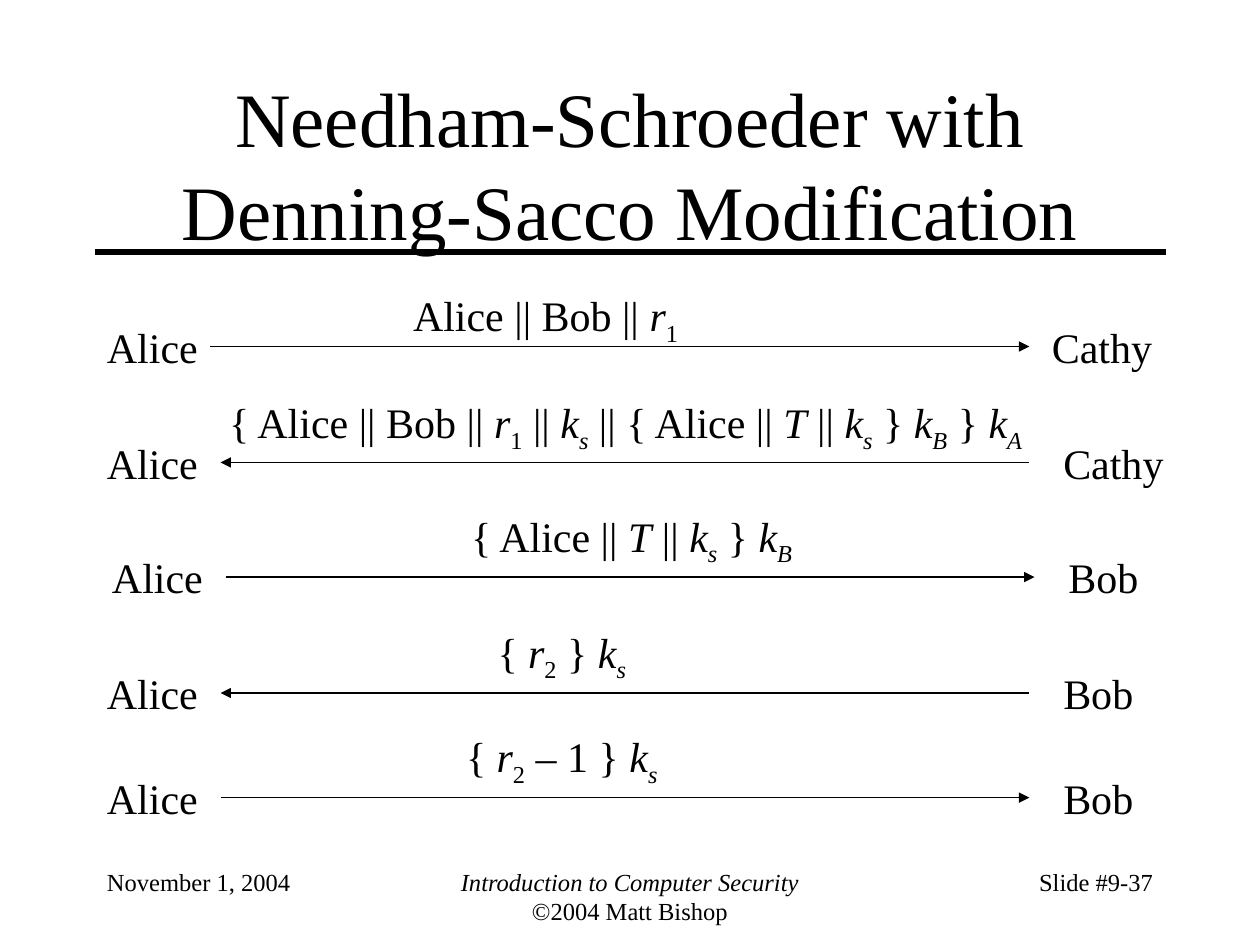
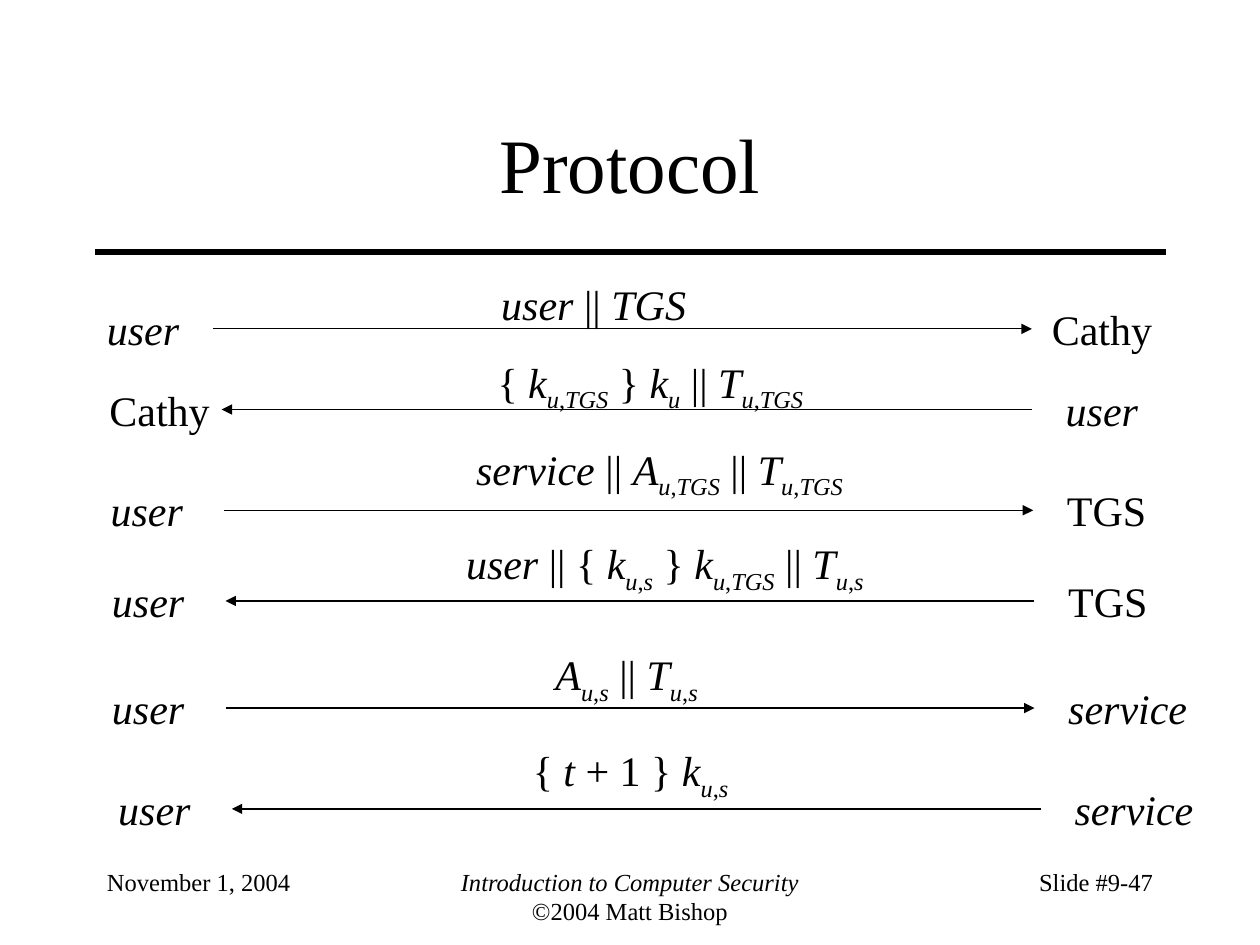
from dataclasses import dataclass

from lxml.etree import SubElement
from pptx import Presentation
from pptx.dml.color import RGBColor
from pptx.enum.shapes import MSO_CONNECTOR as Connector
from pptx.enum.text import MSO_ANCHOR as Anchor, MSO_AUTO_SIZE as AutoSize, PP_ALIGN as Align
from pptx.oxml.ns import qn
from pptx.util import Inches, Pt


@dataclass(frozen=True)
class Theme:
    font: str = "Times New Roman"
    ink: RGBColor = RGBColor(0, 0, 0)
    paper: RGBColor = RGBColor(255, 255, 255)
    title: int = 44
    message: int = 24
    footer: int = 14
    rule: float = 3
    arrow: float = 0.75


@dataclass(frozen=True)
class Step:
    indent: float
    top: float
    left_party: str
    right_party: str
    toward_right: bool
    label: str
    label_indent: float
    label_rise: float
    label_width: float
    columns: tuple = (1, 7.42, 7.59)


THEME = Theme()
PARTY_WIDTHS = {"Alice": 0.92, "Cathy": 0.99, "Bob": 0.75, "*user*": 0.77,
                "TGS": 0.83, "*service*": 1.14}
PARTY_HEIGHT = 0.5
SUBSCRIPT_HEIGHT = 0.56

DENNING_SACCO = [
    Step(0, 0, "Alice", "Cathy", True, "Alice || Bob || *r*_1_",
         2.43, 0.25, 2.3, (0.92, 7.42, 7.5)),
    Step(0, 0.92, "Alice", "Cathy", False,
         "{ Alice || Bob || *r*_1_ || *k*_*s*_ || { Alice || *T* || *k*_*s*_ } *k*_*B*_ } *k*_*A*_",
         0.97, 0.32, 6.53),
    Step(0.04, 1.83, "Alice", "Bob", True, "{ Alice || *T* || *k*_*s*_ } *k*_*B*_",
         2.85, 0.33, 2.76),
    Step(0, 2.75, "Alice", "Bob", False, "{ *r*_2_ } *k*_*s*_", 3.1, 0.33, 1.22),
    Step(0, 3.58, "Alice", "Bob", True, "{ *r*_2_ – 1 } *k*_*s*_", 2.85, 0.33, 1.72),
]

TICKET_PROTOCOL = [
    Step(0, 0, "*user*", "Cathy", True, "*user* || *TGS*",
         3.13, 0.2, 1.66, (0.94, 7.44, 7.5)),
    Step(0.02, 0.64, "Cathy", "*user*", False,
         "{ *k*_*u*,*TGS*_ } *k*_*u*_ || *T*_*u*,*TGS*_", 3.08, 0.22, 2.62),
    Step(0.03, 1.44, "*user*", "TGS", True,
         "*service* || *A*_*u*,*TGS*_ || *T*_*u*,*TGS*_", 2.9, 0.33, 3.11),
    Step(0.04, 2.16, "*user*", "TGS", False,
         "*user* || { *k*_*u*,*s*_ } *k*_*u*,*TGS*_ || *T*_*u*,*s*_", 2.81, 0.3, 3.35),
    Step(0.04, 3.01, "*user*", "*service*", True, "*A*_*u*,*s*_ || *T*_*u*,*s*_",
         3.52, 0.27, 1.33),
    Step(0.09, 3.81, "*user*", "*service*", False, "{ *t* + 1 } *k*_*u*,*s*_",
         3.29, 0.31, 1.75),
]


def add_runs(paragraph, markup, size):
    for level, part in enumerate(markup.split("_")):
        for slant, piece in enumerate(part.split("*")):
            if not piece:
                continue
            run = paragraph.add_run()
            run.text = piece
            font = run.font
            font.name, font.size, font.italic = THEME.font, Pt(size), slant % 2 == 1
            font.color.rgb = THEME.ink
            if level % 2:
                run._r.get_or_add_rPr().set("baseline", "-25000")


def add_text(slide, box, lines, size, align=Align.LEFT, wrap=False):
    holder = slide.shapes.add_textbox(*map(Inches, box))
    frame = holder.text_frame
    frame.word_wrap = wrap
    frame.auto_size = AutoSize.NONE if wrap else AutoSize.SHAPE_TO_FIT_TEXT
    if not wrap:
        frame.margin_right = 0
    for index, line in enumerate(lines):
        paragraph = frame.add_paragraph() if index else frame.paragraphs[0]
        paragraph.alignment = align
        add_runs(paragraph, line, size)
    return holder


def add_line(slide, start, end, y, weight, arrow_end=None):
    line = slide.shapes.add_connector(Connector.STRAIGHT, *map(Inches, (start, y, end, y)))
    line.line.color.rgb = THEME.ink
    line.line.width = Pt(weight)
    if arrow_end:
        SubElement(line.line._get_or_add_ln(), qn(f"a:{arrow_end}"), type="triangle")
    SubElement(line._element.spPr, qn("a:effectLst"))
    return line


def add_heading(slide, box, heading):
    left, top, width, height = box
    title = slide.shapes.title
    title.left, title.top, title.width, title.height = map(Inches, box)
    frame = title.text_frame
    frame.word_wrap = True
    frame.auto_size = AutoSize.NONE
    frame.vertical_anchor = Anchor.MIDDLE
    frame.paragraphs[0].alignment = Align.CENTER
    add_runs(frame.paragraphs[0], heading, THEME.title)
    add_line(slide, left, left + width, top + height + 0.08, THEME.rule)


def add_footer(slide, box, number):
    left, top, width, height = box
    side, middle = 2.08, 3.17
    parts = [
        (left, side, ["November 1, 2004"], Align.LEFT),
        (left + (width - middle) / 2, middle,
         ["*Introduction to Computer Security*", "©2004 Matt Bishop"], Align.CENTER),
        (left + width - side, side, [f"Slide #{number}"], Align.RIGHT),
    ]
    for x, part_width, lines, align in parts:
        add_text(slide, (x, top, part_width, height), lines, THEME.footer, align, wrap=True)


def add_step(slide, left, top, step):
    start, end, right_x = (left + column for column in step.columns)
    left_width = PARTY_WIDTHS[step.left_party]
    left_party = add_text(slide, (left, top, left_width, PARTY_HEIGHT),
                          [step.left_party], THEME.message)
    arrow = add_line(slide, start, end, top + PARTY_HEIGHT / 2, THEME.arrow,
                     "tailEnd" if step.toward_right else "headEnd")
    if abs(left + left_width - start) < 0.02:
        arrow.begin_connect(left_party, 3)
    add_text(slide, (right_x, top, PARTY_WIDTHS[step.right_party], PARTY_HEIGHT),
             [step.right_party], THEME.message)
    label_height = SUBSCRIPT_HEIGHT if "_" in step.label else PARTY_HEIGHT
    add_text(slide, (left + step.label_indent, top - step.label_rise,
                     step.label_width, label_height), [step.label], THEME.message)


def add_exchange_slide(deck, heading, number, exchange_top, steps):
    slide = deck.slides.add_slide(deck.slide_layouts[5])
    slide.background.fill.solid()
    slide.background.fill.fore_color.rgb = THEME.paper
    margin, width = 0.75, 8.5
    add_heading(slide, (margin, 0.67, width, 1.25), heading)
    add_footer(slide, (margin, 6.83, width, 0.5), number)
    for step in steps:
        add_step(slide, margin + step.indent, exchange_top + step.top, step)


def main():
    deck = Presentation()
    deck.slide_width, deck.slide_height = Inches(10), Inches(7.5)
    add_exchange_slide(deck, "Needham-Schroeder with Denning-Sacco Modification",
                       "9-37", 2.5, DENNING_SACCO)
    add_exchange_slide(deck, "Protocol", "9-47", 2.36, TICKET_PROTOCOL)
    deck.save("out.pptx")


if __name__ == "__main__":
    main()
